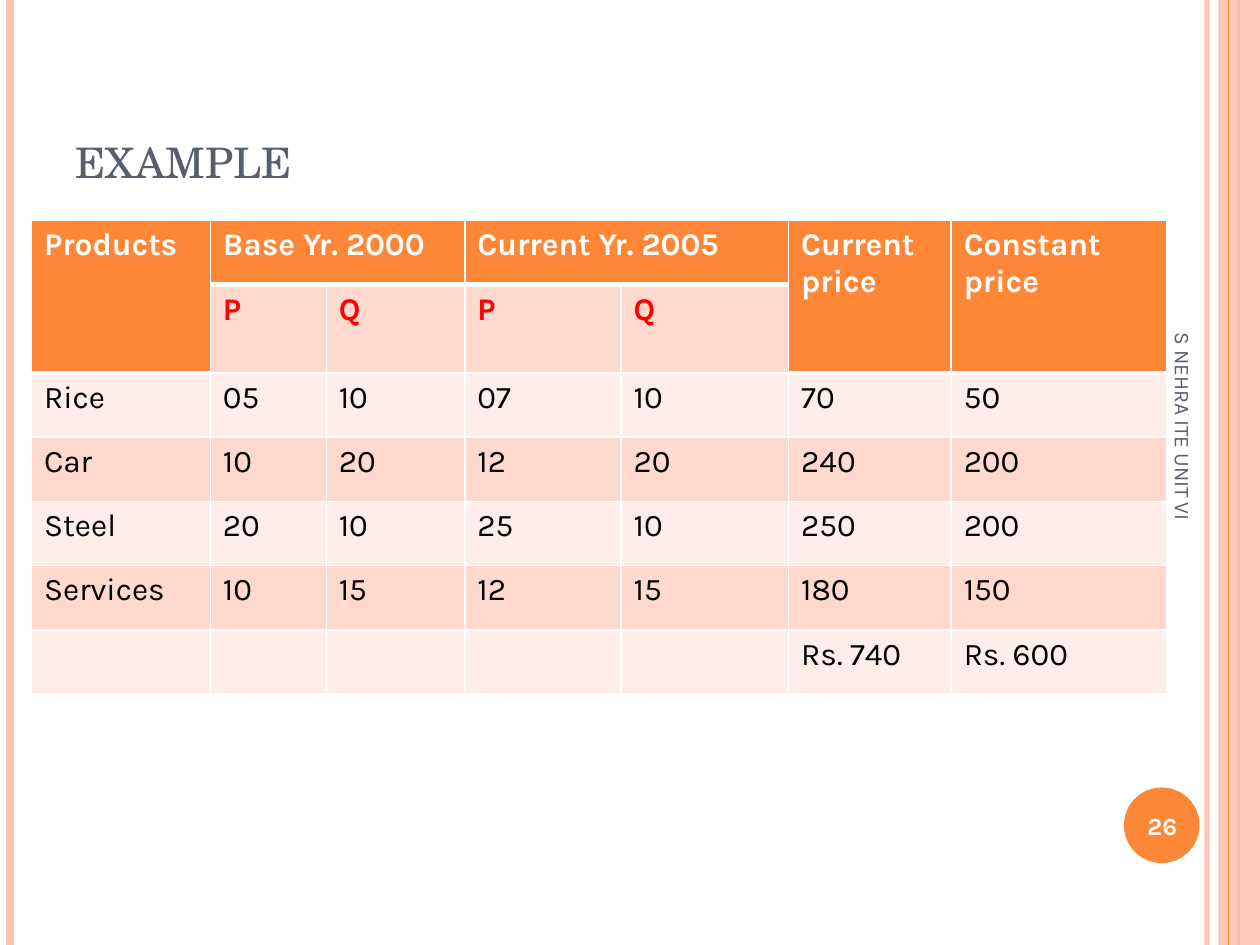
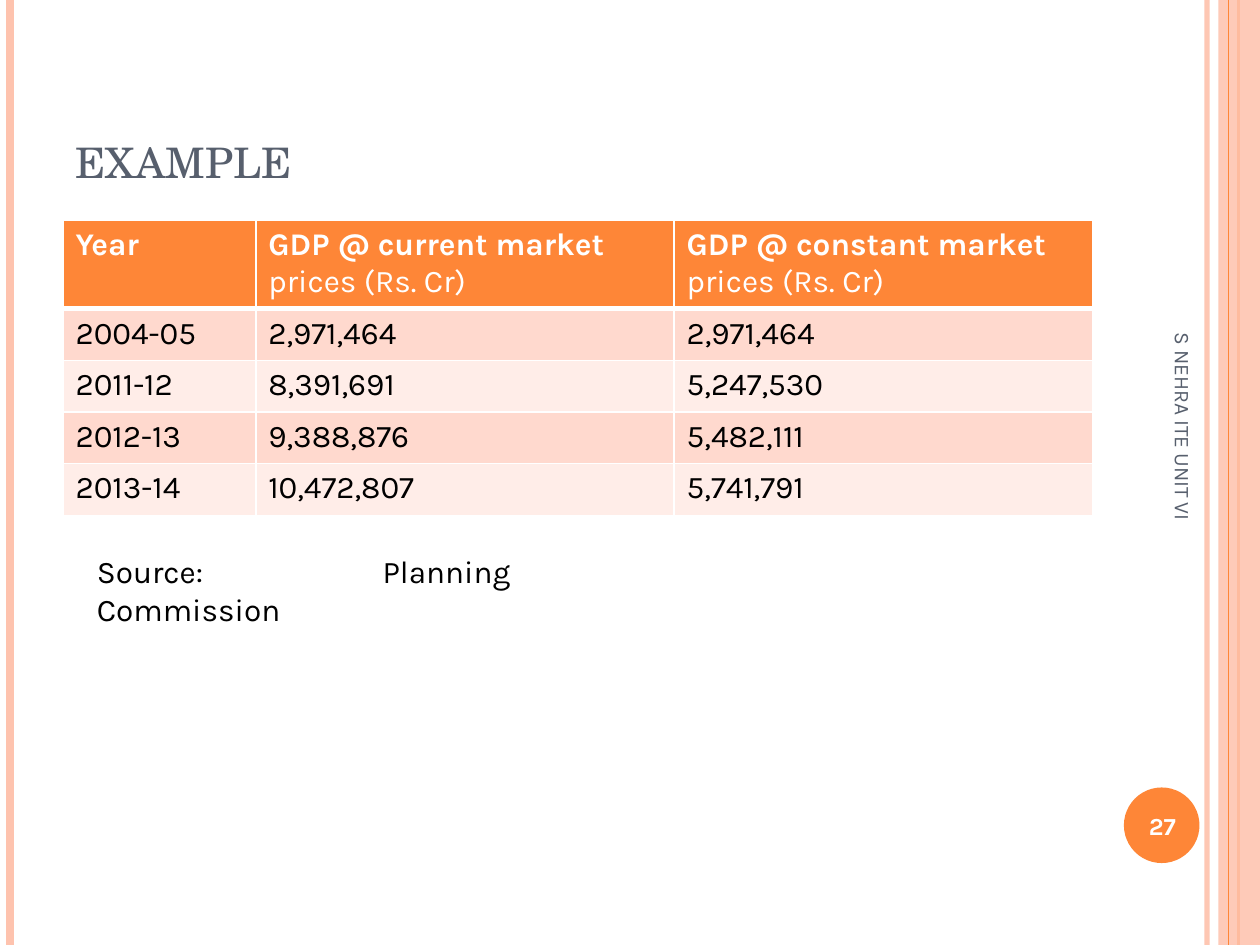
from lxml import etree
from pptx import Presentation
from pptx.dml.color import RGBColor
from pptx.enum import shapes, text
from pptx.oxml.ns import qn
from pptx.util import Pt

SCALE = 9144
WIDTH, HEIGHT = 1000, 750
COLORS = {
    "orange": "FE8637", "peach": "FEC3AE", "slate": "575F6D", "white": "FFFFFF",
    "black": "000000", "red": "FF0000", "dark_band": "FFD9CE", "light_band": "FFEDE8",
}
BODY_FONT, TITLE_FONT = "Karla", "TeX Gyre Schola"


def emu(*lengths):
    return [length * SCALE for length in lengths]


def rgb(name):
    return RGBColor.from_string(COLORS[name])


class Deck:
    def __init__(self):
        self.deck = Presentation()
        self.deck.slide_width, self.deck.slide_height = emu(WIDTH, HEIGHT)
        self.page = None

    def new_page(self, title, number):
        self.page = self.deck.slides.add_slide(self.deck.slide_layouts[6])
        self.rule(958, 3, "peach", 93)
        self.rule(8, 4.5, "peach")
        self.rule(983, 1.5, "orange")
        self.shape(shapes.MSO_SHAPE.RECTANGLE, (967, 0, 33, HEIGHT), "peach", 87)
        self.rule(975, 0.75, "orange")
        self.shape(shapes.MSO_SHAPE.OVAL, (892, 625, 60, 60), "orange")
        self.text(title, (50, 30, 817, 125), 30, "slate", font=TITLE_FONT,
                  anchor=text.MSO_ANCHOR.BOTTOM, small_caps=True)
        self.text(str(number), (889, 627, 67, 57), 14, "white", bold=True,
                  anchor=text.MSO_ANCHOR.MIDDLE, align=text.PP_ALIGN.CENTER)
        footer = self.text("S NEHRA ITE UNIT VI", (764, 409, 350, 40), 12, "slate",
                           anchor=text.MSO_ANCHOR.MIDDLE)
        footer.rotation = 90

    def fade(self, element, percent):
        color = next(element.iter(qn("a:srgbClr")))
        etree.SubElement(color, qn("a:alpha"), val=str(percent * 1000))

    def rule(self, x, weight, color, opacity=100):
        line = self.page.shapes.add_connector(
            shapes.MSO_CONNECTOR.STRAIGHT, *emu(x, 0, x, HEIGHT))
        line.line.width = Pt(weight)
        line.line.color.rgb = rgb(color)
        properties = line._element.spPr
        if opacity < 100:
            self.fade(properties, opacity)
        etree.SubElement(properties, qn("a:effectLst"))

    def shape(self, kind, place, color, opacity=100):
        shape = self.page.shapes.add_shape(kind, *emu(*place))
        shape.shadow.inherit = False
        shape.fill.solid()
        shape.fill.fore_color.rgb = rgb(color)
        shape.line.fill.background()
        if opacity < 100:
            self.fade(shape._element.spPr, opacity)

    def span(self, para, words, size, color, bold=False, font=BODY_FONT):
        span = para.add_run()
        span.text = words
        span.font.name, span.font.size, span.font.bold = font, Pt(size), bold
        span.font.color.rgb = rgb(color)
        return span

    def text(self, words, place, size, color, bold=False, font=BODY_FONT,
             anchor=text.MSO_ANCHOR.TOP, align=text.PP_ALIGN.LEFT, small_caps=False):
        box = self.page.shapes.add_textbox(*emu(*place))
        frame = box.text_frame
        frame.word_wrap = True
        frame.vertical_anchor = anchor
        para = frame.paragraphs[0]
        para.alignment = align
        span = self.span(para, words, size, color, bold, font)
        if small_caps:
            span._r.get_or_add_rPr().set("cap", "small")
        return box

    def border(self, cell, side, weight):
        line = etree.SubElement(cell._tc.get_or_add_tcPr(), qn(f"a:ln{side}"),
                                w=str(Pt(weight)))
        fill = etree.SubElement(line, qn("a:solidFill"))
        etree.SubElement(fill, qn("a:srgbClr"), val=COLORS["white"])

    def table(self, left, top, widths, heights, rows, merges=(), tall_heads=(),
              subheads=()):
        grid = self.page.shapes.add_table(
            len(rows), len(widths), *emu(left, top, sum(widths), sum(heights))).table
        grid.first_row = grid.horz_banding = False
        for column, width in zip(grid.columns, emu(*widths)):
            column.width = width
        for row, height in zip(grid.rows, emu(*heights)):
            row.height = height

        def is_head(r, c):
            return r == 0 or (r == 1 and c in tall_heads)

        for r, row in enumerate(rows):
            for c, content in enumerate(row):
                cell = grid.cell(r, c)
                head = is_head(r, c)
                self.border(cell, "L", 1)
                self.border(cell, "R", 1)
                self.border(cell, "T", 3 if r and is_head(r - 1, c) != head else 1)
                self.border(cell, "B", 3 if head and not is_head(r + 1, c) else 1)
                cell.fill.solid()
                band = "dark_band" if r % 2 else "light_band"
                cell.fill.fore_color.rgb = rgb("orange" if head else band)
                color = "white" if head else "red" if r in subheads else "black"
                parts = content if isinstance(content, tuple) else (content,)
                for i, part in enumerate(parts):
                    if part:
                        bold = i == 0 and (head or r in subheads)
                        self.span(cell.text_frame.paragraphs[0], part, 18, color, bold)
        for first, last in merges:
            grid.cell(*first).merge(grid.cell(*last))


def price_page(deck):
    deck.new_page("example", 26)
    rows = [
        ["Products", "Base Yr. 2000", "", "Current Yr. 2005", "",
         "Current price", "Constant price"],
        ["", "P", "Q", "P", "Q", "", ""],
        ["Rice", "05", "10", "07", "10", "70", "50"],
        ["Car", "10", "20", "12", "20", "240", "200"],
        ["Steel", "20", "10", "25", "10", "250", "200"],
        ["Services", "10", "15", "12", "15", "180", "150"],
        ["", "", "", "", "", "Rs. 740", "Rs. 600"],
    ]
    tall_heads = (0, 5, 6)
    merges = [((0, c), (1, c)) for c in tall_heads]
    merges += [((0, c), (0, c + 1)) for c in (1, 3)]
    deck.table(25, 175, [142, 92, 110, 124, 133, 129, 171], [51, 69] + [51] * 5,
               rows, merges, tall_heads, subheads=(1,))


def gdp_page(deck):
    deck.new_page("example", 27)
    rows = [
        ["Year"] + [(f"GDP @ {basis} market ", "prices (Rs. Cr)")
                    for basis in ("current", "constant")],
        ["2004-05", "2,971,464", "2,971,464"],
        ["2011-12", "8,391,691", "5,247,530"],
        ["2012-13", "9,388,876", "5,482,111"],
        ["2013-14", "10,472,807", "5,741,791"],
    ]
    deck.table(50, 175, [153, 332, 332], [68] + [41] * 4, rows)
    deck.text("Source: Planning Commission", (67, 433, 348, 70), 18, "black",
              align=text.PP_ALIGN.JUSTIFY)


def main():
    deck = Deck()
    price_page(deck)
    gdp_page(deck)
    deck.deck.save("out.pptx")


if __name__ == "__main__":
    main()
